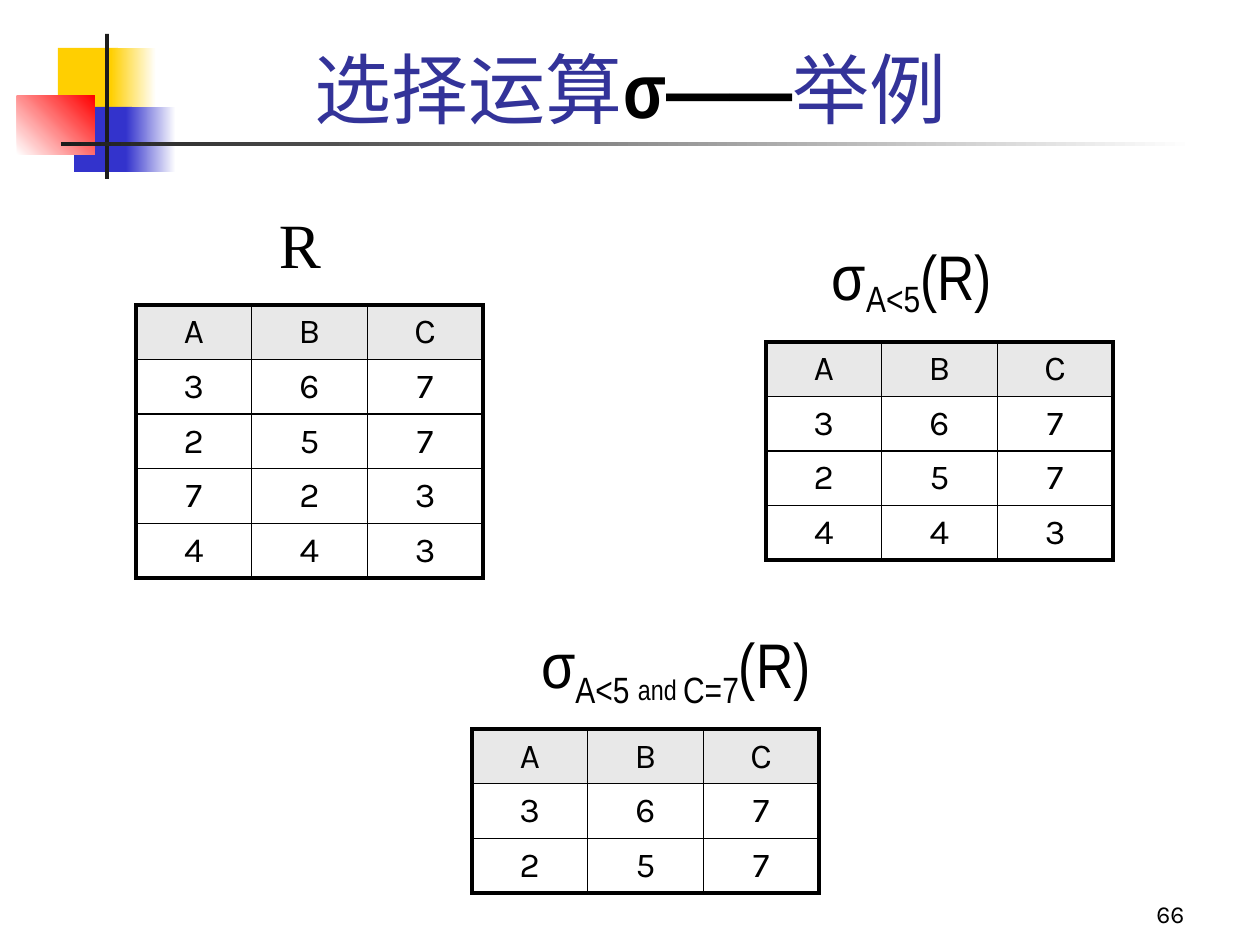
"""Build a slide showing the selection operation on a relation with three tables."""
from lxml import etree
from pptx import Presentation, util as u
from pptx.dml import color
from pptx.enum import shapes, text
from pptx.oxml import ns

COLORS = {
    "black": "000000", "title": "333399", "header": "E8E8E8", "white": "FFFFFF",
    "yellow": "FFCF01", "blue": "3333CC", "red": "FF0000", "bar": "1C1C1C",
}
SLIDE_SIZE = (1260, 945)
DECORATIONS = [
    ((58, 48, 60, 65), ("yellow",), 0),
    ((111, 48, 45, 65), ("yellow", "white"), 0),
    ((74, 107, 58, 65), ("blue",), 0),
    ((126, 107, 50, 65), ("blue", "white"), 0),
    ((17, 96, 78, 59), ("white", "red"), 45),
    ((105, 34, 4, 145), ("bar",), 0),
    ((61, 142, 1134, 4), ("bar", "white"), 0),
]
TITLE_BOX = (94, 31, 1074, 109)
TITLE_RUNS = [
    ("选择运算", {"size": 44, "color": "title", "bold": False}),
    ("σ——", {"size": 44, "color": "black", "bold": True}),
    ("举例", {"size": 44, "color": "title", "bold": False}),
]
TITLE_FONTS = {"latin": "Arial Narrow", "asian": "Noto Sans CJK SC"}
NARROW = {"name": "Arial Narrow", "size": 36}
LABELS = [
    ((242, 199, 116, 88), [("R", {"name": "Times New Roman", "size": 36})]),
    ((809, 231, 220, 88), [
        ("σ", NARROW), ("A<5", NARROW | {"baseline": -20}), ("(R) ", NARROW)]),
    ((472, 619, 422, 89), [
        ("σ", NARROW), ("A<5 ", NARROW | {"baseline": -25}),
        ("and ", NARROW | {"size": 28, "baseline": -25}),
        ("C=7", NARROW | {"baseline": -25}), ("(R) ", NARROW)]),
]
HEADER = "ABC"
TABLES = [
    ((136, 305, 347, 273), ["367", "257", "723", "443"]),
    ((766, 342, 347, 218), ["367", "257", "443"]),
    ((472, 729, 347, 164), ["367", "257"]),
]
CELL_FORMAT = {"name": "Karla", "size": 20, "bold": False}
PAGE_NUMBER = ((935, 872, 262, 63), [("66", {"name": "Karla", "size": 14})])
OUTER_LINE, INNER_LINE = 2.25, 1


def px(value):
    return u.Emu(round(value * 914400 / 126))


def rgb(name):
    return color.RGBColor.from_string(COLORS[name])


def write_runs(frame, runs, align=text.PP_ALIGN.CENTER):
    paragraph = frame.paragraphs[0]
    paragraph.alignment = align
    for words, values in runs:
        run = paragraph.add_run()
        run.text = words
        run.font.color.rgb = rgb(values.get("color", "black"))
        for key, value in values.items():
            if key == "size":
                run.font.size = u.Pt(value)
            elif key == "baseline":
                run._r.get_or_add_rPr().set("baseline", str(value * 1000))
            elif key != "color":
                setattr(run.font, key, value)
    return paragraph


def add_decoration(slide, box, names, angle):
    shape = slide.shapes.add_shape(shapes.MSO_SHAPE.RECTANGLE, *map(px, box))
    shape.shadow.inherit = False
    shape.line.fill.background()
    if len(names) == 1:
        shape.fill.solid()
        shape.fill.fore_color.rgb = rgb(names[0])
        return
    shape.fill.gradient()
    shape.fill.gradient_angle = angle
    for stop, name, position in zip(shape.fill.gradient_stops, names, (0, 1)):
        stop.color.rgb = rgb(name)
        stop.position = position


def add_title(slide):
    title = slide.shapes.title
    title.left, title.top, title.width, title.height = map(px, TITLE_BOX)
    title.text_frame.vertical_anchor = text.MSO_ANCHOR.BOTTOM
    paragraph = write_runs(title.text_frame, TITLE_RUNS)
    for run in paragraph.runs:
        run.font.name = TITLE_FONTS["latin"]
        asian = etree.SubElement(run._r.get_or_add_rPr(), ns.qn("a:ea"))
        asian.set("typeface", TITLE_FONTS["asian"])


def add_label(slide, box, runs, align=text.PP_ALIGN.CENTER, anchor=text.MSO_ANCHOR.TOP):
    frame = slide.shapes.add_textbox(*map(px, box)).text_frame
    frame.word_wrap = True
    frame.vertical_anchor = anchor
    write_runs(frame, runs, align)


def add_borders(cell, outer_sides):
    properties = cell._tc.get_or_add_tcPr()
    for side, outer in zip("LRTB", outer_sides):
        width = u.Pt(OUTER_LINE if outer else INNER_LINE)
        line = etree.SubElement(properties, ns.qn(f"a:ln{side}"), w=str(int(width)))
        fill = etree.SubElement(line, ns.qn("a:solidFill"))
        etree.SubElement(fill, ns.qn("a:srgbClr"), val=COLORS["black"])


def add_relation(slide, box, body):
    rows = [HEADER, *body]
    last_row, last_column = len(rows) - 1, len(HEADER) - 1
    table = slide.shapes.add_table(len(rows), len(HEADER), *map(px, box)).table
    table.first_row = table.horz_banding = False
    for column in table.columns:
        column.width = px(box[2] / len(HEADER))
    for i, values in enumerate(rows):
        table.rows[i].height = px(box[3] / len(rows))
        for j, value in enumerate(values):
            cell = table.cell(i, j)
            cell.vertical_anchor = text.MSO_ANCHOR.MIDDLE
            write_runs(cell.text_frame, [(value, CELL_FORMAT)])
            add_borders(cell, (j == 0, j == last_column, i == 0, i == last_row))
            if i == 0:
                cell.fill.solid()
                cell.fill.fore_color.rgb = rgb("header")
            else:
                cell.fill.background()


def main():
    presentation = Presentation()
    presentation.slide_width, presentation.slide_height = map(px, SLIDE_SIZE)
    slide = presentation.slides.add_slide(presentation.slide_layouts[5])
    for decoration in DECORATIONS:
        add_decoration(slide, *decoration)
    add_title(slide)
    for relation in TABLES:
        add_relation(slide, *relation)
    for label in LABELS:
        add_label(slide, *label)
    add_label(slide, *PAGE_NUMBER, text.PP_ALIGN.RIGHT, text.MSO_ANCHOR.BOTTOM)
    presentation.save("out.pptx")


if __name__ == "__main__":
    main()
